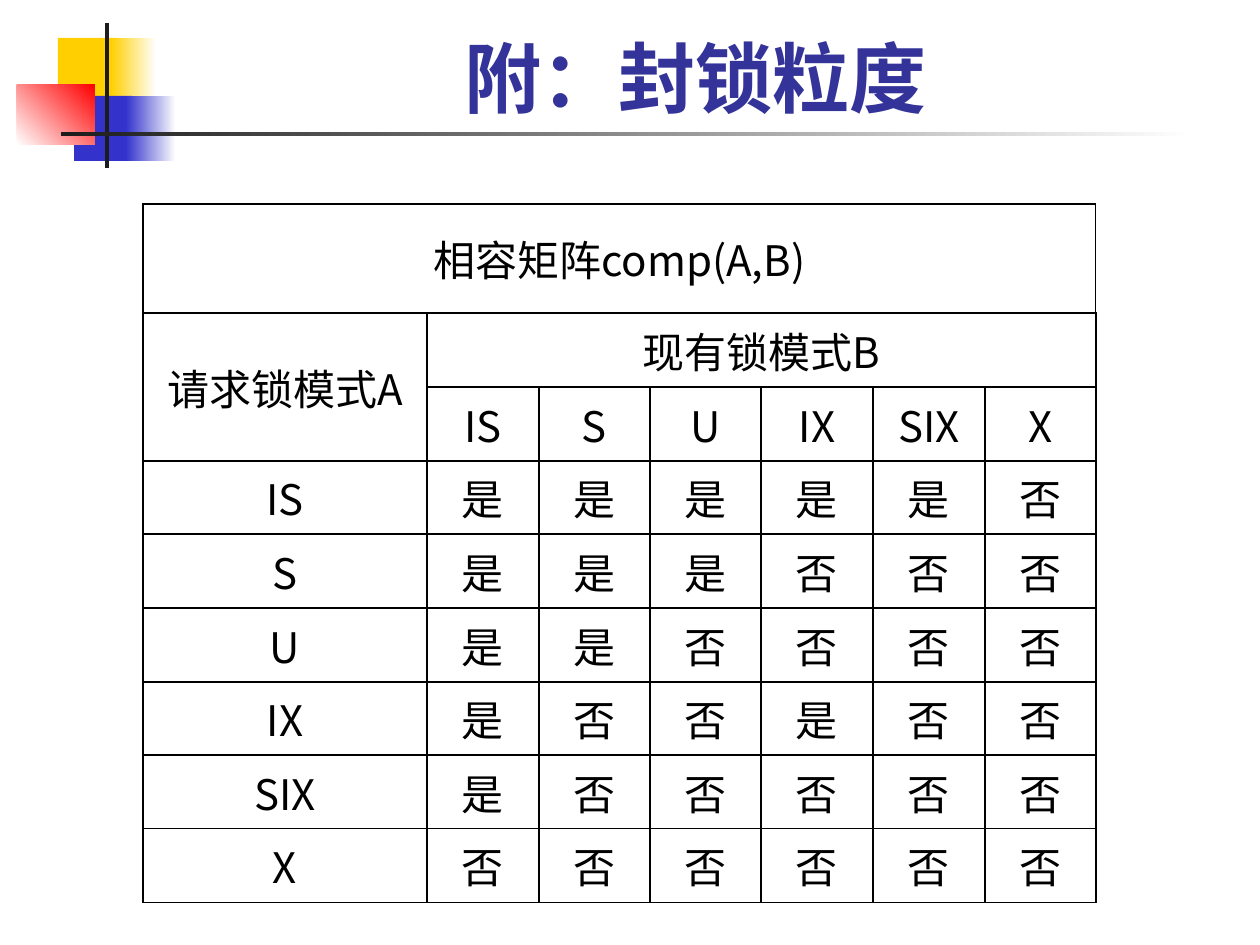
from dataclasses import dataclass

from lxml import etree
from pptx import Presentation
from pptx.dml.color import RGBColor
from pptx.enum.shapes import MSO_SHAPE
from pptx.enum.text import MSO_ANCHOR, MSO_AUTO_SIZE, PP_ALIGN
from pptx.oxml.ns import qn
from pptx.slide import Slide
from pptx.table import _Cell
from pptx.text.text import TextFrame
from pptx.util import Emu, Pt

RECT = MSO_SHAPE.RECTANGLE
CENTER = PP_ALIGN.CENTER
MIDDLE, BOTTOM = MSO_ANCHOR.MIDDLE, MSO_ANCHOR.BOTTOM
NO_FIT = MSO_AUTO_SIZE.NONE
SCALE = 914400 / 126


@dataclass(frozen=True)
class Theme:
    yellow: str = "FFCF01"
    blue: str = "3333CC"
    red: str = "FF0000"
    dark: str = "1C1C1C"
    white: str = "FFFFFF"
    navy: str = "333399"
    black: str = "000000"
    latin: str = "Karla"
    asian: str = "Noto Sans CJK SC"
    title: int = 44
    body: int = 24
    outer: float = 0.75
    inner: float = 1


THEME = Theme()


@dataclass(frozen=True)
class Block:
    """A plain rectangle, or a gradient one when it has an end colour."""
    left: int
    top: int
    width: int
    height: int
    color: str
    end: str = ""
    angle: int = 0


BLOCKS = [
    Block(58, 38, 60, 66, THEME.yellow),
    Block(111, 38, 45, 66, THEME.yellow, THEME.white),
    Block(74, 96, 58, 65, THEME.blue),
    Block(126, 96, 50, 65, THEME.blue, THEME.white),
    Block(17, 85, 78, 60, THEME.white, THEME.red, 45),
    Block(105, 23, 4, 145, THEME.dark),
    Block(61, 132, 1134, 4, THEME.dark, THEME.white),
]

MODES = ["IS", "S", "U", "IX", "SIX", "X"]
MATRIX = ["是是是是是否", "是是是否否否", "是是否否否否",
          "是否否是否否", "是否否否否否", "否否否否否否"]
GRID = [
    ["相容矩阵comp(A,B)"] + [""] * 6,
    ["请求锁模式A", "现有锁模式B"] + [""] * 5,
    [""] + MODES,
    *([mode, *marks] for mode, marks in zip(MODES, MATRIX)),
]
SPANS = [((0, 0), (0, 6)), ((1, 0), (2, 0)), ((1, 1), (1, 6))]


def px(size: int) -> Emu:
    return Emu(round(size * SCALE))


def spread(total: int, count: int) -> list[int]:
    """Split a length into whole parts that stay even along the way."""
    edges = [round(total * i / count) for i in range(count + 1)]
    return [b - a for a, b in zip(edges, edges[1:])]


def draw_block(slide: Slide, block: Block) -> None:
    shape = slide.shapes.add_shape(RECT, px(block.left), px(block.top),
                                   px(block.width), px(block.height))
    shape.shadow.inherit = False
    shape.line.fill.background()
    if block.end:
        shape.fill.gradient()
        shape.fill.gradient_angle = block.angle
        for stop, color in zip(shape.fill.gradient_stops,
                               (block.color, block.end)):
            stop.color.rgb = RGBColor.from_string(color)
    else:
        shape.fill.solid()
        shape.fill.fore_color.rgb = RGBColor.from_string(block.color)


def write(frame: TextFrame, text: str, size: int, color: str, latin: str,
          bold: bool = False) -> None:
    para = frame.paragraphs[0]
    para.alignment = CENTER
    run = para.add_run()
    run.text = text
    font = run.font
    font.size, font.bold, font.name = Pt(size), bold, latin
    font.color.rgb = RGBColor.from_string(color)
    etree.SubElement(run._r.get_or_add_rPr(), qn("a:ea"),
                     typeface=THEME.asian)


def draw_title(slide: Slide) -> None:
    title = slide.shapes.title
    title.left, title.top = px(159), px(23)
    title.width, title.height = px(1232 - 159), px(106)
    frame = title.text_frame
    frame.word_wrap, frame.auto_size = True, NO_FIT
    frame.vertical_anchor = BOTTOM
    write(frame, "附：封锁粒度", THEME.title, THEME.navy, THEME.latin, True)


def edge_cell(cell: _Cell, top: bool) -> None:
    props = cell._tc.get_or_add_tcPr()
    for side in "LRTB":
        width = THEME.outer if top and side != "B" else THEME.inner
        line = etree.SubElement(props, qn(f"a:ln{side}"), w=str(Pt(width)))
        fill = etree.SubElement(line, qn("a:solidFill"))
        etree.SubElement(fill, qn("a:srgbClr"), val=THEME.black)


def draw_table(slide: Slide) -> None:
    cols = [284] + spread(669, 6)
    rows = [109] + spread(590, 8)
    table = slide.shapes.add_table(len(rows), len(cols), px(143), px(204),
                                   px(sum(cols)), px(sum(rows))).table
    table.first_row = table.horz_banding = False
    for col, width in zip(table.columns, cols):
        col.width = px(width)
    for row, height in zip(table.rows, rows):
        row.height = px(height)
    for start, end in SPANS:
        table.cell(*start).merge(table.cell(*end))
    for r, line in enumerate(GRID):
        for c, text in enumerate(line):
            cell = table.cell(r, c)
            cell.vertical_anchor = MIDDLE
            cell.margin_top = cell.margin_bottom = px(4)
            edge_cell(cell, r == 0)
            cell.fill.background()
            if text:
                write(cell.text_frame, text, THEME.body, THEME.black,
                      THEME.asian)


def main() -> None:
    deck = Presentation()
    deck.slide_width, deck.slide_height = px(1260), px(945)
    slide = deck.slides.add_slide(deck.slide_layouts[5])
    for block in BLOCKS:
        draw_block(slide, block)
    draw_title(slide)
    draw_table(slide)
    deck.save("out.pptx")


if __name__ == "__main__":
    main()
